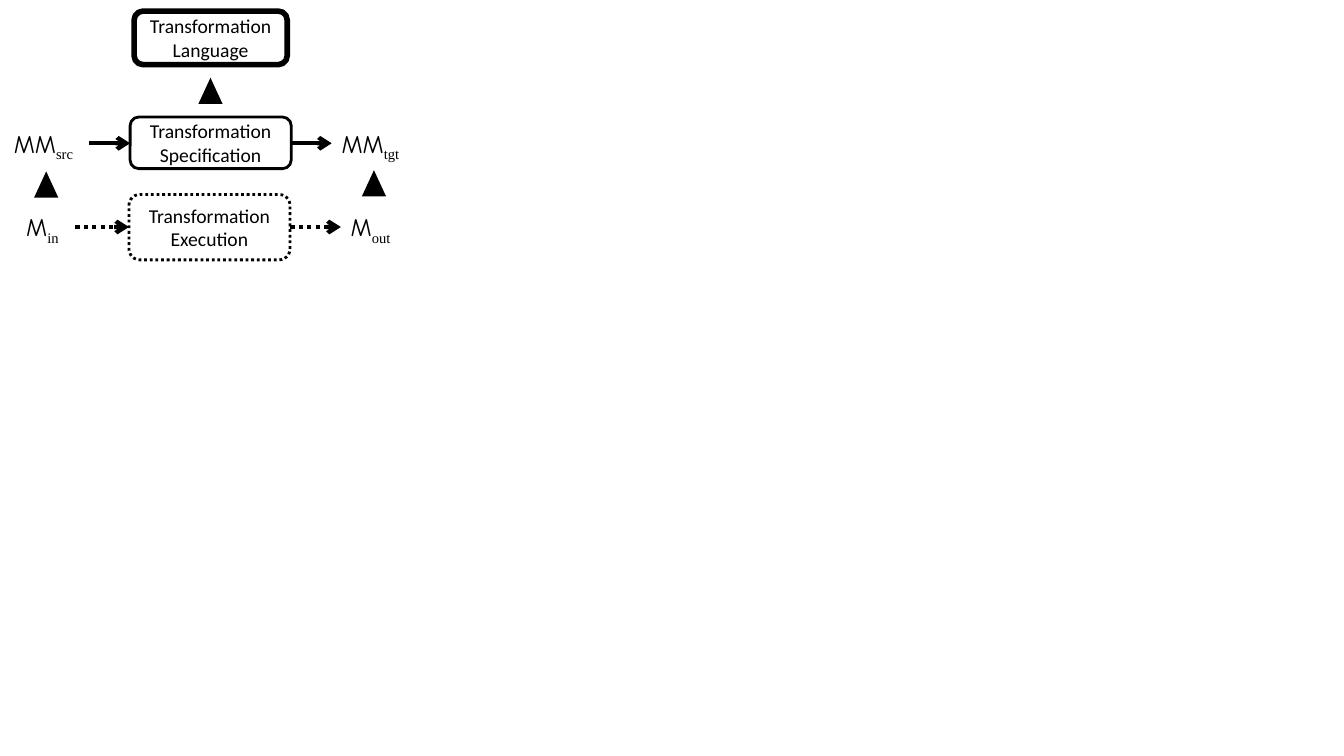
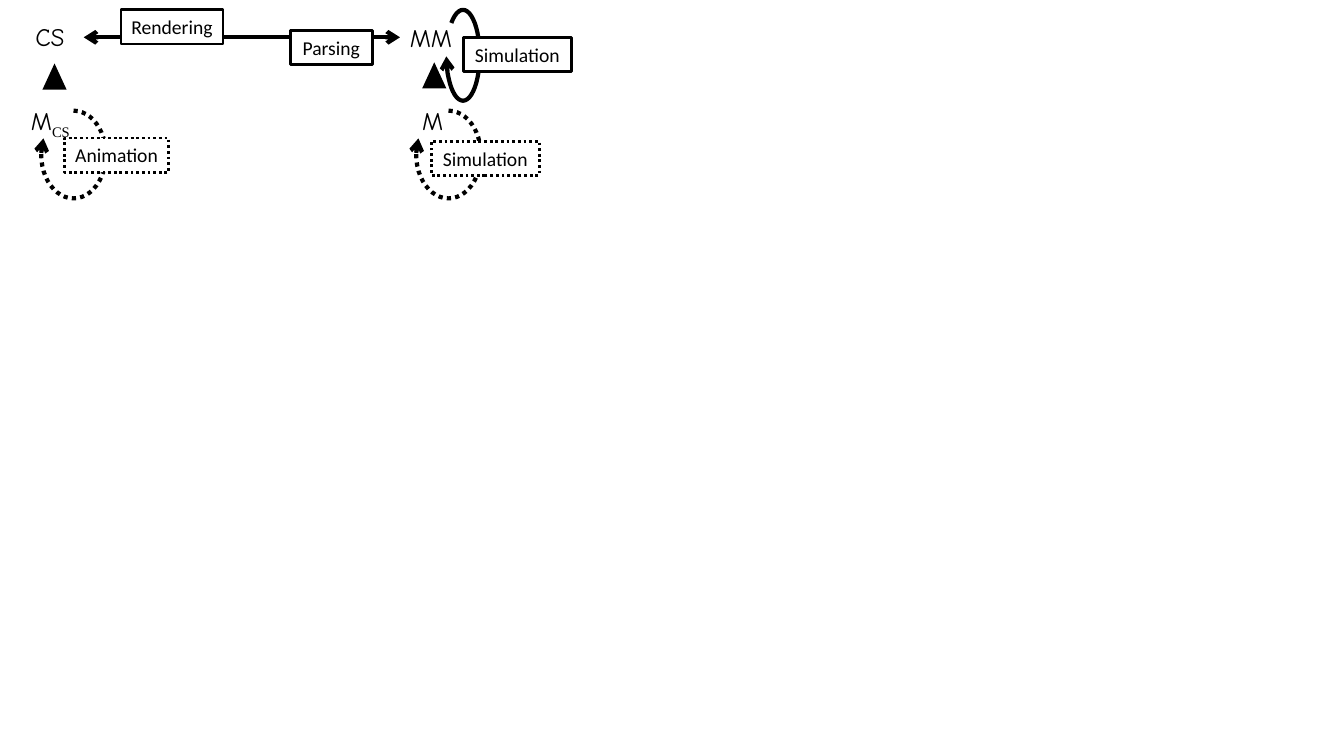
"""Build two diagrams of model transformation and simulation."""
from dataclasses import dataclass

from lxml import etree
from pptx import Presentation
from pptx import util as u
from pptx.dml.color import RGBColor
from pptx.enum import dml, shapes, text
from pptx.oxml.ns import qn

INK, PAPER = "000000", "FFFFFF"
MATH, SUB, SANS = "Comic Neue", "Times New Roman", "Calibri"
KIND = shapes.MSO_SHAPE
TRI_W, TRI_H = 0.61, 0.66
TAG_H = 0.86
NAME_H = 1.02


@dataclass(frozen=True)
class Name:
    x: float
    y: float
    w: float
    main: str
    sub: str = ""


@dataclass(frozen=True)
class Box:
    x: float
    y: float
    w: float
    h: float
    label: str
    width: float = 2
    dots: bool = False
    round: bool = False


@dataclass(frozen=True)
class Arrow:
    x1: float
    x2: float
    y: float
    dots: bool = False
    both: bool = False


@dataclass(frozen=True)
class Loop:
    x: float
    y: float
    w: float
    h: float
    start: float = 162
    end: float = 124.96
    dots: bool = True


def color(code: str) -> RGBColor:
    return RGBColor.from_string(code)


def write(para, words: str, *, font: str, size: float, base: int = 0) -> None:
    run = para.add_run()
    run.text = words
    run.font.name = font
    run.font.size = u.Pt(size)
    run.font.color.rgb = color(INK)
    if base:
        run.font._element.set("baseline", str(base * 1000))


def stroke(item, width: float, dots: bool = False, ends: tuple = ()) -> None:
    line = item.line
    line.color.rgb = color(INK)
    line.width = u.Pt(width)
    if dots:
        line.dash_style = dml.MSO_LINE.ROUND_DOT
    for end in ends:
        etree.SubElement(line._get_or_add_ln(), qn(f"a:{end}"), type="arrow")


def shape(slide, kind, x: float, y: float, w: float, h: float, fill: str = ""):
    item = slide.shapes.add_shape(kind, u.Cm(x), u.Cm(y), u.Cm(w), u.Cm(h))
    item.shadow.inherit = False
    if fill:
        item.fill.solid()
        item.fill.fore_color.rgb = color(fill)
    else:
        item.fill.background()
    return item


def draw_name(slide, name: Name) -> None:
    item = slide.shapes.add_textbox(
        u.Cm(name.x), u.Cm(name.y), u.Cm(name.w), u.Cm(NAME_H))
    frame = item.text_frame
    frame.word_wrap = False
    frame.auto_size = text.MSO_AUTO_SIZE.SHAPE_TO_FIT_TEXT
    para = frame.paragraphs[0]
    write(para, name.main, font=MATH, size=18)
    if name.sub:
        write(para, name.sub, font=SUB, size=18, base=-25)


def draw_box(slide, box: Box) -> None:
    kind = KIND.ROUNDED_RECTANGLE if box.round else KIND.RECTANGLE
    fill = "" if box.round else PAPER
    item = shape(slide, kind, box.x, box.y, box.w, box.h, fill)
    stroke(item, box.width, box.dots)
    frame = item.text_frame
    frame.word_wrap = box.round
    frame.vertical_anchor = text.MSO_ANCHOR.MIDDLE
    para = frame.paragraphs[0]
    para.alignment = text.PP_ALIGN.CENTER
    write(para, box.label, font=SANS, size=14)


def draw_arrow(slide, arrow: Arrow) -> None:
    y = u.Cm(arrow.y)
    item = slide.shapes.add_connector(
        shapes.MSO_CONNECTOR.STRAIGHT, u.Cm(arrow.x1), y, u.Cm(arrow.x2), y)
    ends = ("headEnd", "tailEnd") if arrow.both else ("tailEnd",)
    stroke(item, 3, arrow.dots, ends)
    etree.SubElement(item._element.spPr, qn("a:effectLst"))


def draw_loop(slide, loop: Loop) -> None:
    item = shape(slide, KIND.ARC, loop.x, loop.y, loop.w, loop.h)
    item.adjustments[0] = loop.start
    item.adjustments[1] = loop.end
    stroke(item, 3, loop.dots, ("tailEnd",))


def draw_peak(slide, x: float, y: float) -> None:
    item = shape(slide, KIND.ISOSCELES_TRIANGLE, x, y, TRI_W, TRI_H, INK)
    item.line.fill.background()


DRAW = {Name: draw_name, Box: draw_box, Arrow: draw_arrow, Loop: draw_loop}

CHANGE = (
    Name(8.36, 3.1, 2.11, "MM", "tgt"),
    Name(0.1, 3.1, 2.13, "MM", "src"),
    Name(0.41, 5.21, 1.5, "M", "in"),
    Name(8.59, 5.21, 1.63, "M", "out"),
    Box(3.28, 2.95, 4.06, 1.3, "Transformation Specification", round=True),
    Arrow(7.32, 8.36, 3.61),
    Arrow(2.24, 3.28, 3.61),
    Box(3.25, 4.9, 4.06, 1.65, "Transformation Execution",
        dots=True, round=True),
    Arrow(7.32, 8.59, 5.72, dots=True),
    Arrow(1.9, 3.25, 5.72, dots=True),
    Box(3.38, 0.28, 3.86, 1.35, "Transformation Language",
        width=4, round=True),
)
CHANGE_PEAKS = ((0.86, 4.32), (5, 1.96), (9.12, 4.29))

MOTION = (
    Name(10.08, 0.43, 1.73, "MM"),
    Name(0.64, 0.41, 1.47, "CS"),
    Name(0.53, 2.54, 1.68, "M", "CS"),
    Name(10.39, 2.54, 1.09, "M"),
    Arrow(10.08, 2.11, 0.94, both=True),
    Loop(10.49, 2.79, 1.63, 2.21),
    Loop(1.04, 2.79, 1.63, 2.21),
    Box(10.87, 3.56, 2.72, TAG_H, "Simulation", dots=True),
    Box(1.63, 3.48, 2.62, TAG_H, "Animation", dots=True),
    Box(7.32, 0.76, 2.06, TAG_H, "Parsing"),
    Box(3.05, 0.25, 2.57, TAG_H, "Rendering"),
    Loop(11.25, 0.25, 0.84, 2.29, 150.04, 105.74, dots=False),
    Box(11.68, 0.94, 2.72, TAG_H, "Simulation"),
)
MOTION_PEAKS = ((1.07, 1.6), (10.64, 1.57))


def main() -> None:
    deck = Presentation()
    deck.slide_width, deck.slide_height = u.Cm(33.87), u.Cm(19.05)
    for parts, peaks in ((CHANGE, CHANGE_PEAKS), (MOTION, MOTION_PEAKS)):
        slide = deck.slides.add_slide(deck.slide_layouts[6])
        for x, y in peaks:
            draw_peak(slide, x, y)
        for part in parts:
            DRAW[type(part)](slide, part)
    deck.save("out.pptx")


if __name__ == "__main__":
    main()
